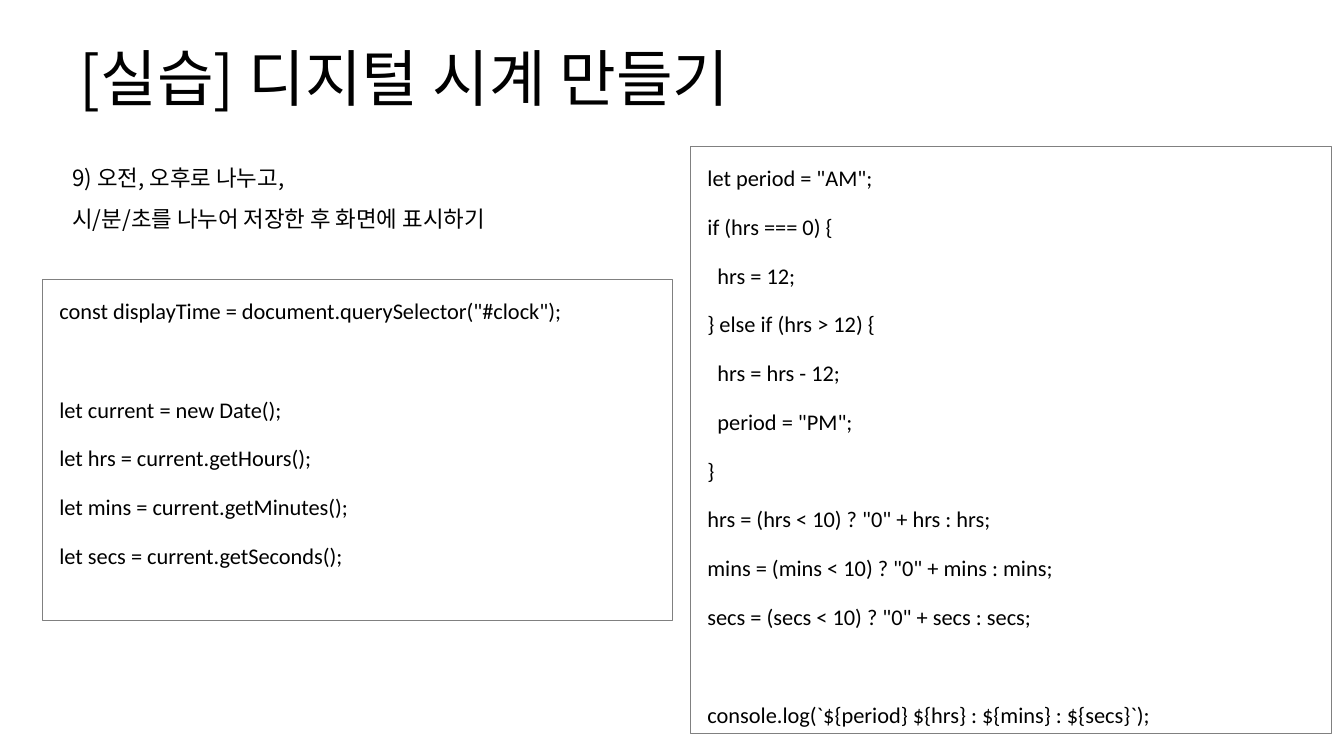
from dataclasses import dataclass

from lxml import etree
from pptx import Presentation
from pptx.dml.color import RGBColor
from pptx.enum import shapes, text
from pptx.oxml import ns
from pptx.util import Pt

BLACK = RGBColor(0x00, 0x00, 0x00)
GRAY = RGBColor(0x80, 0x80, 0x80)
KOREAN_FONT = "Noto Sans CJK KR"
CODE_FONT = "Calibri"
BODY_SIZE = 16
CODE_MARGIN = 5.04
CODE_INDENT = 7.2
CODE_SPACING = 3
BLANK_LINE = 35.3


@dataclass
class CodeLine:
    text: str
    level: int = 0
    gap_before: bool = False


@dataclass
class CodeBox:
    left: float
    top: float
    width: float
    height: float
    lines: list[CodeLine]


CODE_BOXES = [
    CodeBox(30.24, 199.44, 450, 244.08, [
        CodeLine('const displayTime = document.querySelector("#clock");'),
        CodeLine("let current = new Date();", gap_before=True),
        CodeLine("let hrs = current.getHours();"),
        CodeLine("let mins = current.getMinutes();"),
        CodeLine("let secs = current.getSeconds();"),
    ]),
    CodeBox(493.2, 104.4, 457.92, 419.76, [
        CodeLine('let period = "AM";'),
        CodeLine("if (hrs === 0) {"),
        CodeLine("hrs = 12;", level=1),
        CodeLine("} else if (hrs > 12) {"),
        CodeLine("hrs = hrs - 12;", level=1),
        CodeLine('period = "PM";', level=1),
        CodeLine("}"),
        CodeLine('hrs = (hrs < 10) ? "0" + hrs : hrs;'),
        CodeLine('mins = (mins < 10) ? "0" + mins : mins;'),
        CodeLine('secs = (secs < 10) ? "0" + secs : secs;'),
        CodeLine("console.log(`${period} ${hrs} : ${mins} : ${secs}`);", gap_before=True),
    ]),
]


def format_paragraph(p, font: str, size: float, line_spacing: float) -> None:
    p.alignment = text.PP_ALIGN.LEFT
    p.line_spacing = line_spacing
    for r in p.runs:
        r.font.name = font
        r.font.size = Pt(size)
        r.font.color.rgb = BLACK
        ea = etree.SubElement(r.font._element, ns.qn("a:ea"))
        ea.set("typeface", font)


def place(sp, left: float, top: float, width: float, height: float) -> None:
    sp.left, sp.top, sp.width, sp.height = Pt(left), Pt(top), Pt(width), Pt(height)


def add_title(s) -> None:
    sp = s.shapes.title
    place(sp, 49.68, 25.2, 701.28, 66.24)
    tf = sp.text_frame
    tf.text = "[실습] 디지털 시계 만들기"
    tf.vertical_anchor = text.MSO_ANCHOR.MIDDLE
    format_paragraph(tf.paragraphs[0], KOREAN_FONT, 44, 0.9)


def add_instruction(s) -> None:
    sp = s.shapes.add_textbox(Pt(44.64), Pt(104.4), Pt(420.48), Pt(61.92))
    tf = sp.text_frame
    tf.word_wrap = True
    p = tf.paragraphs[0]
    p.text = "9) 오전, 오후로 나누고,\v시/분/초를 나누어 저장한 후 화면에 표시하기"
    format_paragraph(p, KOREAN_FONT, BODY_SIZE, 1.5)


def add_code_box(s, box: CodeBox) -> None:
    sp = s.shapes.add_shape(shapes.MSO_SHAPE.RECTANGLE, Pt(box.left), Pt(box.top),
                            Pt(box.width), Pt(box.height))
    sp.shadow.inherit = False
    sp.fill.background()
    sp.line.color.rgb = GRAY
    sp.line.width = Pt(0.75)
    tf = sp.text_frame
    tf.word_wrap = True
    tf.vertical_anchor = text.MSO_ANCHOR.TOP
    tf.text = "\n".join(line.text for line in box.lines)
    for p, line in zip(tf.paragraphs, box.lines):
        format_paragraph(p, CODE_FONT, BODY_SIZE, 1.5)
        p.space_before = Pt(CODE_SPACING + BLANK_LINE * line.gap_before)
        p.space_after = Pt(CODE_SPACING)
        pPr = p._p.get_or_add_pPr()
        pPr.set("marL", str(Pt(CODE_MARGIN + CODE_INDENT * line.level)))
        pPr.set("indent", "0")


def main() -> None:
    prs = Presentation()
    prs.slide_width, prs.slide_height = Pt(960), Pt(540)
    s = prs.slides.add_slide(prs.slide_layouts.get_by_name("Title Only"))
    add_title(s)
    add_instruction(s)
    for box in CODE_BOXES:
        add_code_box(s, box)
    prs.save("out.pptx")


if __name__ == "__main__":
    main()
